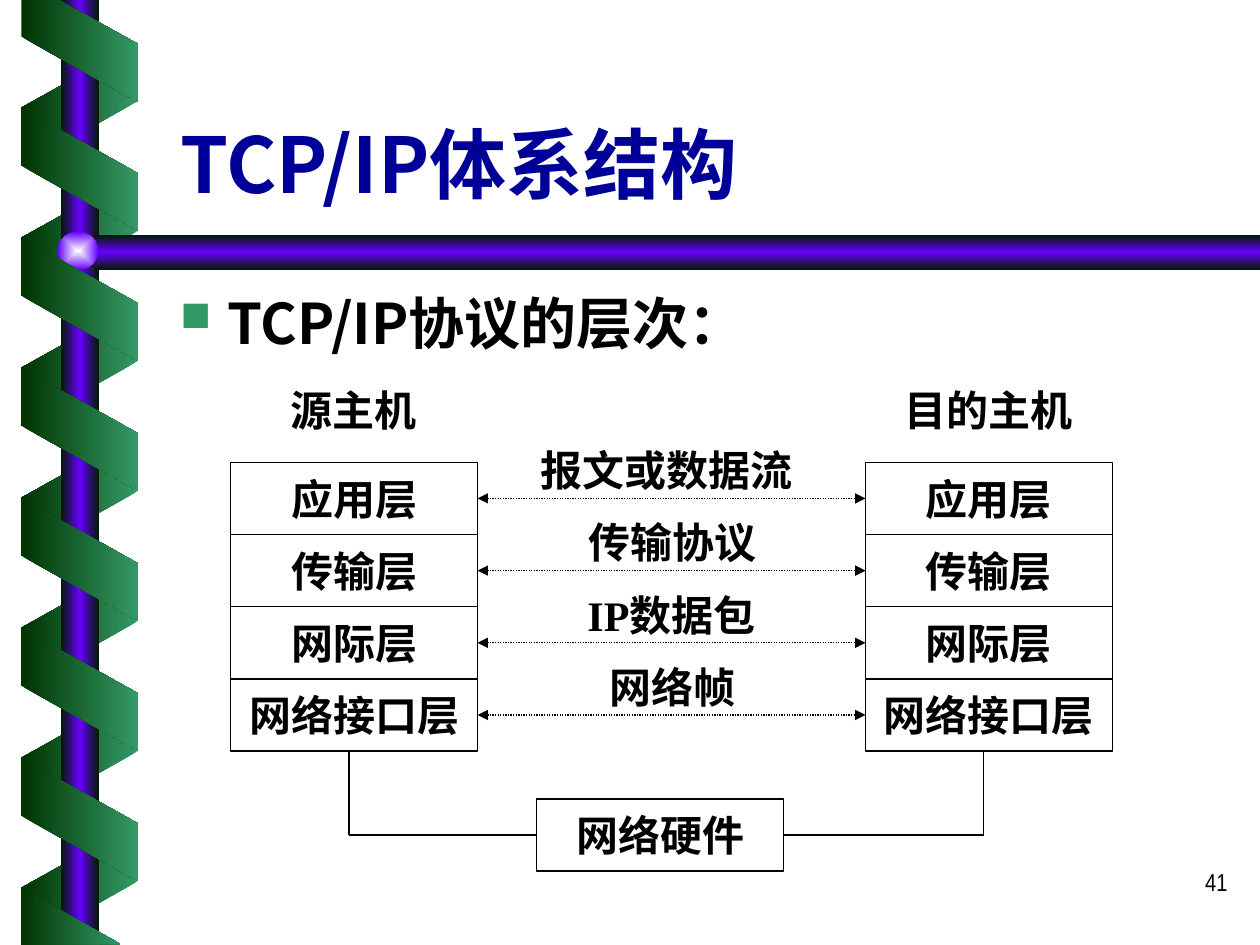
import lxml.etree
import pptx
import pptx.dml.color
import pptx.enum.dml
import pptx.enum.shapes
import pptx.enum.text
import pptx.oxml.ns
import pptx.util

Pt = pptx.util.Pt
qn = pptx.oxml.ns.qn
SubElement = lxml.etree.SubElement
SHAPE = pptx.enum.shapes.MSO_SHAPE
ALIGN = pptx.enum.text.PP_ALIGN
ANCHOR = pptx.enum.text.MSO_ANCHOR

BLACK = pptx.dml.color.RGBColor(0x00, 0x00, 0x00)
WHITE = pptx.dml.color.RGBColor(0xFF, 0xFF, 0xFF)
NAVY = pptx.dml.color.RGBColor(0x00, 0x00, 0x99)
GREEN = pptx.dml.color.RGBColor(0x33, 0x99, 0x66)
DARK_GREEN = pptx.dml.color.RGBColor(0x00, 0x33, 0x00)
DEEP_GREEN = pptx.dml.color.RGBColor(0x00, 0x1A, 0x00)
VIOLET = pptx.dml.color.RGBColor(0x66, 0x00, 0xFF)
PEARL = pptx.dml.color.RGBColor(0xFE, 0xFF, 0xFF)

SANS = "Noto Sans CJK SC"
SERIF = "Times New Roman"


def paint_gradient(shape, colors, angle=None):
    shape.shadow.inherit = False
    shape.line.fill.background()
    shape.fill.gradient()
    grad = shape.element.spPr.find(qn("a:gradFill"))
    grad.set("rotWithShape", "0")
    for child in list(grad):
        grad.remove(child)
    stops = SubElement(grad, qn("a:gsLst"))
    for i, color in enumerate(colors):
        stop = SubElement(stops, qn("a:gs"), pos=str(100000 * i // (len(colors) - 1)))
        SubElement(stop, qn("a:srgbClr"), val=str(color))
    if angle is None:
        center = SubElement(grad, qn("a:path"), {"path": "rect"})
        SubElement(center, qn("a:fillToRect"), l="50000", t="50000", r="50000", b="50000")
    else:
        SubElement(grad, qn("a:lin"), ang=str(angle * 60000), scaled="0")


def write(shape, text, size=24, font=SERIF, color=BLACK, bold=True,
          align=ALIGN.CENTER, anchor=ANCHOR.TOP, wrap=True):
    frame = shape.text_frame
    frame.word_wrap = wrap
    frame.auto_size = pptx.enum.text.MSO_AUTO_SIZE.NONE
    frame.vertical_anchor = anchor
    paragraph = frame.paragraphs[0]
    paragraph.text = text
    paragraph.alignment = align
    paragraph.font.name = font
    paragraph.font.size = Pt(size)
    paragraph.font.bold = bold
    paragraph.font.color.rgb = color
    defaults = paragraph.font._element
    SubElement(defaults, qn("a:ea"), typeface=SANS)


deck = pptx.Presentation()
deck.slide_width, deck.slide_height = Pt(720), Pt(540)
slide = deck.slides.add_slide(deck.slide_layouts[5])
shapes = slide.shapes

ribbon_pitch = 74.3
for i in range(7):
    back = shapes.add_shape(SHAPE.PARALLELOGRAM, Pt(10.1), Pt(26.6 + i * ribbon_pitch), Pt(70.5), Pt(66.2))
    back.adjustments[0] = 0.56
    back.rotation = 90
    back.element.spPr.xfrm.set("flipH", "1")
    paint_gradient(back, [GREEN, DARK_GREEN], 0)

pole = shapes.add_shape(SHAPE.RECTANGLE, Pt(34.7), Pt(0), Pt(21.8), Pt(540))
paint_gradient(pole, [DEEP_GREEN, VIOLET, DEEP_GREEN], 0)

outline = shapes.build_freeform(Pt(720), Pt(134.1))
outline.add_line_segments([(Pt(x), Pt(y)) for x, y in
                           [(54.7, 134.1), (43.2, 144), (54.7, 154.2), (720, 154.2)]])
crossbar = outline.convert_to_shape()
paint_gradient(crossbar, [DEEP_GREEN, VIOLET, DEEP_GREEN], 90)

joint = shapes.add_shape(SHAPE.OVAL, Pt(33), Pt(132.4), Pt(23.2), Pt(21.8))
paint_gradient(joint, [PEARL, VIOLET])

for i in range(6):
    front = shapes.add_shape(SHAPE.PARALLELOGRAM, Pt(10.1), Pt(63.2 + i * ribbon_pitch), Pt(70.5), Pt(67))
    front.adjustments[0] = 0.56
    front.rotation = 270
    paint_gradient(front, [DARK_GREEN, GREEN], 0)

for start, *corners in [
    [(12.2, 0), (12.2, 20.9), (78.7, 58.3), (78.7, 25), (33.8, 0)],
    [(68.8, 539.5), (12.2, 507.3), (11.9, 540)],
]:
    outline = shapes.build_freeform(Pt(start[0]), Pt(start[1]))
    outline.add_line_segments([(Pt(x), Pt(y)) for x, y in corners])
    paint_gradient(outline.convert_to_shape(), [DARK_GREEN, GREEN], 0)

page_number = shapes.add_textbox(Pt(558.7), Pt(491.8), Pt(149.8), Pt(36))
write(page_number, "41", 14, "Arial Narrow", bold=False, align=ALIGN.RIGHT)

title = shapes.title
title.left, title.top, title.width, title.height = Pt(95.8), Pt(33.1), Pt(612), Pt(90)
write(title, "TCP/IP体系结构", 44, SANS, NAVY, align=ALIGN.LEFT, anchor=ANCHOR.BOTTOM)

heading = shapes.add_textbox(Pt(95.8), Pt(161.3), Pt(612), Pt(54.7))
bullet = heading.text_frame.paragraphs[0]._p.get_or_add_pPr()
bullet.set("marL", str(Pt(27)))
bullet.set("indent", str(Pt(-27)))
SubElement(SubElement(bullet, qn("a:buClr")), qn("a:srgbClr"), val=str(GREEN))
SubElement(bullet, qn("a:buSzPct"), val="75000")
SubElement(bullet, qn("a:buChar"), char="■")
write(heading, "TCP/IP协议的层次：", 32, SANS, align=ALIGN.LEFT)

box_width, row_height = 141.1, 41.25
stack_top, source_left, target_left = 264.2, 131.8, 494.6
stack_bottom = stack_top + 4 * row_height
hardware_left, hardware_top = 306.7, 456.5
wire_y = hardware_top + row_height / 2

layers = ["应用层", "传输层", "网际层", "网络接口层"]
boxes = [(left, stack_top + i * row_height, layer)
         for left in (source_left, target_left) for i, layer in enumerate(layers)]
boxes.append((hardware_left, hardware_top, "网络硬件"))
for left, top, name in boxes:
    box = shapes.add_shape(SHAPE.RECTANGLE, Pt(left), Pt(top), Pt(box_width), Pt(row_height))
    box.shadow.inherit = False
    box.fill.solid()
    box.fill.fore_color.rgb = WHITE
    box.line.color.rgb = BLACK
    box.line.width = Pt(0.75)
    frame = box.text_frame
    frame.margin_left = frame.margin_right = Pt(1.5)
    frame.margin_top = frame.margin_bottom = Pt(0.75)
    write(box, name, anchor=ANCHOR.MIDDLE, wrap=False)

labels = [(151.9, 216, 100.8, "源主机"), (target_left, 216, box_width, "目的主机")]
messages = [(286.6, 188.6, "报文或数据流"), (306.7, 154.8, "传输协议"),
            (293, 181.4, "IP数据包"), (286.6, 195.1, "网络帧")]
labels += [(left, 250.6 + i * row_height, width, message)
           for i, (left, width, message) in enumerate(messages)]
for left, top, width, text in labels:
    write(shapes.add_textbox(Pt(left), Pt(top), Pt(width), Pt(36)), text)

source_drop, target_drop = source_left + 67.6, target_left + 67.6
links = [
    (source_drop, stack_bottom, source_drop, wire_y, False),
    (source_drop, wire_y, hardware_left, wire_y, False),
    (target_drop, stack_bottom, target_drop, wire_y, False),
    (hardware_left + box_width, wire_y, target_drop, wire_y, False),
]
for i in range(len(layers)):
    y = stack_top + (i + 0.5) * row_height
    links.append((source_left + box_width, y, target_left, y, True))
for x1, y1, x2, y2, is_peer in links:
    link = shapes.add_connector(pptx.enum.shapes.MSO_CONNECTOR.STRAIGHT, Pt(x1), Pt(y1), Pt(x2), Pt(y2))
    link.line.color.rgb = BLACK
    link.line.width = Pt(0.75)
    if is_peer:
        link.line.dash_style = pptx.enum.dml.MSO_LINE.ROUND_DOT
        for end in ("a:headEnd", "a:tailEnd"):
            SubElement(link.line._get_or_add_ln(), qn(end), type="triangle")
    SubElement(link.element.spPr, qn("a:effectLst"))

deck.save("out.pptx")
